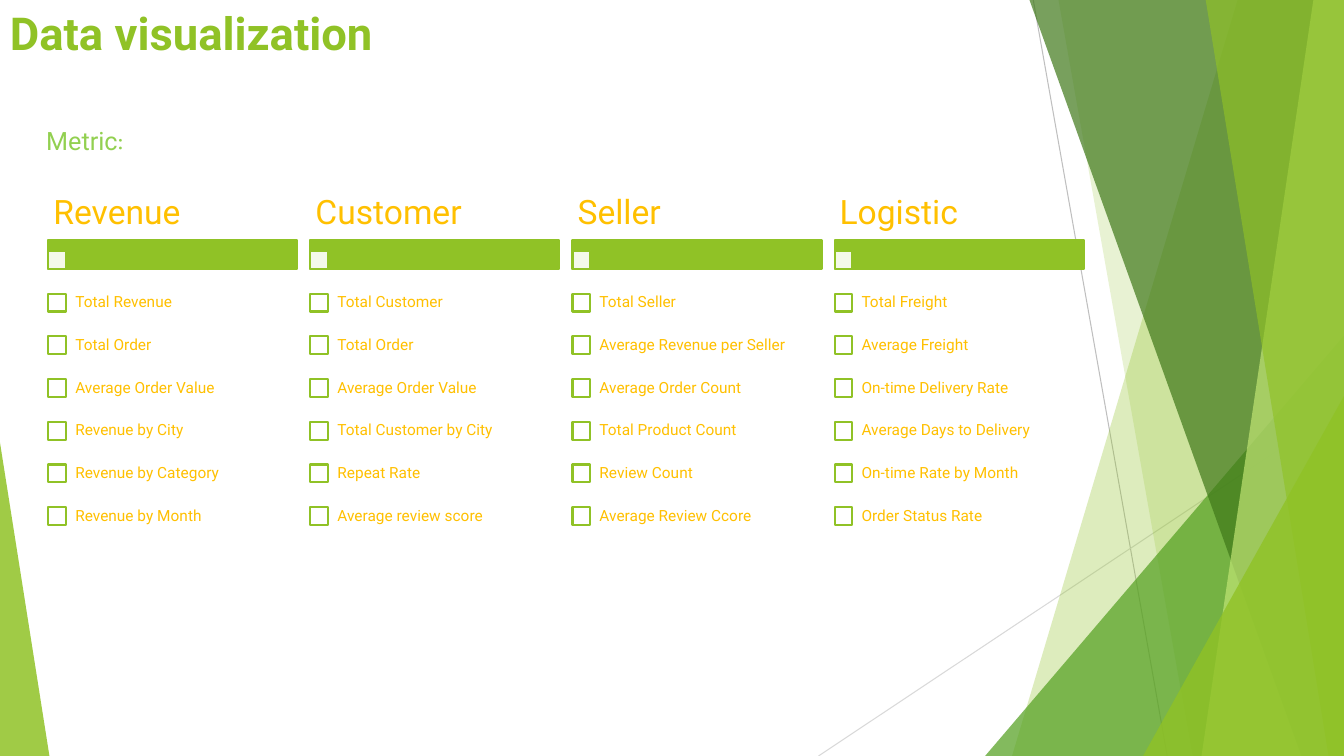
import dataclasses

import pptx
import pptx.dml.color
import pptx.enum.shapes
import pptx.enum.text
import pptx.oxml
import pptx.oxml.ns
import pptx.util

SHAPE = pptx.enum.shapes.MSO_SHAPE
ANCHOR = pptx.enum.text.MSO_ANCHOR


@dataclasses.dataclass(frozen=True)
class Theme:
    green: str = "90C226"
    leaf: str = "54A021"
    forest: str = "3F7819"
    lime: str = "C0E474"
    metric_green: str = "92D050"
    amber: str = "FFC000"
    white: str = "FFFFFF"
    dark_line: str = "BFBFBF"
    pale_line: str = "D9D9D9"
    font: str = "Roboto"
    colon_font: str = "Karla"
    title_size: float = 32.4
    heading_size: float = 24
    metric_size: float = 18
    item_size: float = 11
    hairline: float = 0.75
    border: float = 1.5


def rgb(color):
    return pptx.dml.color.RGBColor.from_string(color)


def write(paragraph, text, *, font, size, color, bold=False):
    """Append formatted text to a paragraph."""
    run = paragraph.add_run()
    run.text = text
    run.font.name = font
    run.font.size = pptx.util.Pt(size)
    run.font.bold = bold
    run.font.color.rgb = rgb(color)


class Canvas:
    """Draws on one slide; all lengths are percentages of the slide's size."""

    def __init__(self, deck, theme):
        self.theme = theme
        self.width, self.height = deck.slide_width, deck.slide_height
        self.shapes = deck.slides.add_slide(deck.slide_layouts[6]).shapes

    def point(self, x, y):
        return round(self.width * x / 100), round(self.height * y / 100)

    def box(self, x, y, w, h):
        return *self.point(x, y), *self.point(w, h)

    def paint(self, shape, fill, opacity, border):
        shape.shadow.inherit = False
        shape.fill.solid()
        shape.fill.fore_color.rgb = rgb(fill)
        if opacity < 100:
            color = shape.element.spPr.find(".//" + pptx.oxml.ns.qn("a:srgbClr"))
            alpha = color.makeelement(pptx.oxml.ns.qn("a:alpha"), {"val": str(opacity * 1000)})
            color.append(alpha)
        if border:
            shape.line.color.rgb = rgb(border)
            shape.line.width = pptx.util.Pt(self.theme.border)
        else:
            shape.line.fill.background()

    def line(self, start, end, color):
        connector = self.shapes.add_connector(
            pptx.enum.shapes.MSO_CONNECTOR.STRAIGHT, *self.point(*start), *self.point(*end))
        connector.line.color.rgb = rgb(color)
        connector.line.width = pptx.util.Pt(self.theme.hairline)
        properties = connector.element.spPr
        properties.append(properties.makeelement(pptx.oxml.ns.qn("a:effectLst"), {}))

    def facet(self, top, bottom, fill, opacity):
        """A band from a slanted left edge to the slide's right edge."""
        corners = [self.point(*corner) for corner in
                   ((top, -0.1), (100, -0.1), (100, 100), (bottom, 100))]
        builder = self.shapes.build_freeform(*corners[0], scale=1.0)
        builder.add_line_segments(corners[1:], close=True)
        self.paint(builder.convert_to_shape(), fill, opacity, None)

    def triangle(self, box, apex, fill, opacity):
        shape = self.shapes.add_shape(SHAPE.ISOSCELES_TRIANGLE, *self.box(*box))
        shape.adjustments[0] = apex
        self.paint(shape, fill, opacity, None)

    def rectangle(self, box, fill, opacity=100):
        shape = self.shapes.add_shape(SHAPE.RECTANGLE, *self.box(*box))
        self.paint(shape, fill, opacity, self.theme.green)

    def text(self, box, text, *, size, color, bold=False, anchor=ANCHOR.MIDDLE,
             inset=(0.1, 0.05), spacing=None, wrap=True):
        frame = self.shapes.add_textbox(*self.box(*box)).text_frame
        frame.word_wrap = wrap
        if not wrap:
            frame.auto_size = pptx.enum.text.MSO_AUTO_SIZE.SHAPE_TO_FIT_TEXT
        frame.vertical_anchor = anchor
        frame.margin_left = frame.margin_right = pptx.util.Inches(inset[0])
        frame.margin_top = frame.margin_bottom = pptx.util.Inches(inset[1])
        paragraph = frame.paragraphs[0]
        paragraph.line_spacing = spacing
        write(paragraph, text, font=self.theme.font, size=size, color=color, bold=bold)
        return paragraph


METRICS = {
    "Revenue": ("Total Revenue", "Total Order", "Average Order Value",
                "Revenue by City", "Revenue by Category", "Revenue by Month"),
    "Customer": ("Total Customer", "Total Order", "Average Order Value",
                 "Total Customer by City", "Repeat Rate", "Average review score"),
    "Seller": ("Total Seller", "Average Revenue per Seller", "Average Order Count",
               "Total Product Count", "Review Count", "Average Review Ccore"),
    "Logistic": ("Total Freight", "Average Freight", "On-time Delivery Rate",
                 "Average Days to Delivery", "On-time Rate by Month", "Order Status Rate"),
}
LEFT, COLUMN, COLUMN_WIDTH = 3.6, 19.5, 18.53
FIRST_ROW, ROW = 37.2, 5.65
CHECKBOX = (1.33, 2.36)


def draw_backdrop(canvas):
    theme = canvas.theme
    canvas.line((76.88, 0), (86.85, 100), theme.dark_line)
    canvas.line((100, 53.73), (60.9, 100), theme.pale_line)
    canvas.facet(92.1, 75.3, theme.green, 30)
    canvas.facet(78.75, 88.73, theme.green, 20)
    canvas.triangle((73.3, 44.4, 26.7, 55.6), 1, theme.leaf, 72)
    canvas.facet(76.58, 96.83, theme.forest, 70)
    canvas.facet(97.73, 89.4, theme.lime, 70)
    canvas.facet(89.7, 98.85, theme.green, 65)
    canvas.triangle((85.05, 52.4, 14.95, 47.6), 1, theme.green, 80)
    canvas.triangle((0, 58.53, 3.68, 41.47), 0, theme.green, 85)


def draw_metrics(canvas):
    theme = canvas.theme
    for column, (heading, items) in enumerate(METRICS.items()):
        x = LEFT + column * COLUMN
        # Heading, bar and its marker
        canvas.rectangle((x, 31.75, COLUMN_WIDTH, 3.87), theme.green)
        canvas.rectangle((x, 33.2, *CHECKBOX), theme.white, 90)
        canvas.text((x, 24.8, COLUMN_WIDTH, 6.93), heading, size=theme.heading_size,
                    color=theme.amber, inset=(0.05, 0.03), spacing=0.9)
        # Checklist
        for row, item in enumerate(items):
            y = FIRST_ROW + row * ROW
            canvas.rectangle((x, y + 1.65, *CHECKBOX), theme.white)
            canvas.text((x + CHECKBOX[0], y, COLUMN_WIDTH - CHECKBOX[0], ROW), item,
                        size=theme.item_size, color=theme.amber, inset=(0.09, 0.09), spacing=0.9)


def main():
    deck = pptx.Presentation()
    deck.slide_width, deck.slide_height = pptx.util.Inches(13.33), pptx.util.Inches(7.5)
    theme = Theme()
    canvas = Canvas(deck, theme)
    draw_backdrop(canvas)
    # Title
    canvas.text((0, 0, 70.5, 8.67), "Data visualization",
                size=theme.title_size, color=theme.green, bold=True)
    draw_metrics(canvas)
    # Label above the columns
    metric = canvas.text((2.7, 15.87, 8.25, 5.33), "Metric", size=theme.metric_size,
                         color=theme.metric_green, anchor=ANCHOR.TOP, wrap=False)
    write(metric, ":", font=theme.colon_font, size=theme.metric_size, color=theme.metric_green)
    deck.save("out.pptx")


if __name__ == "__main__":
    main()
